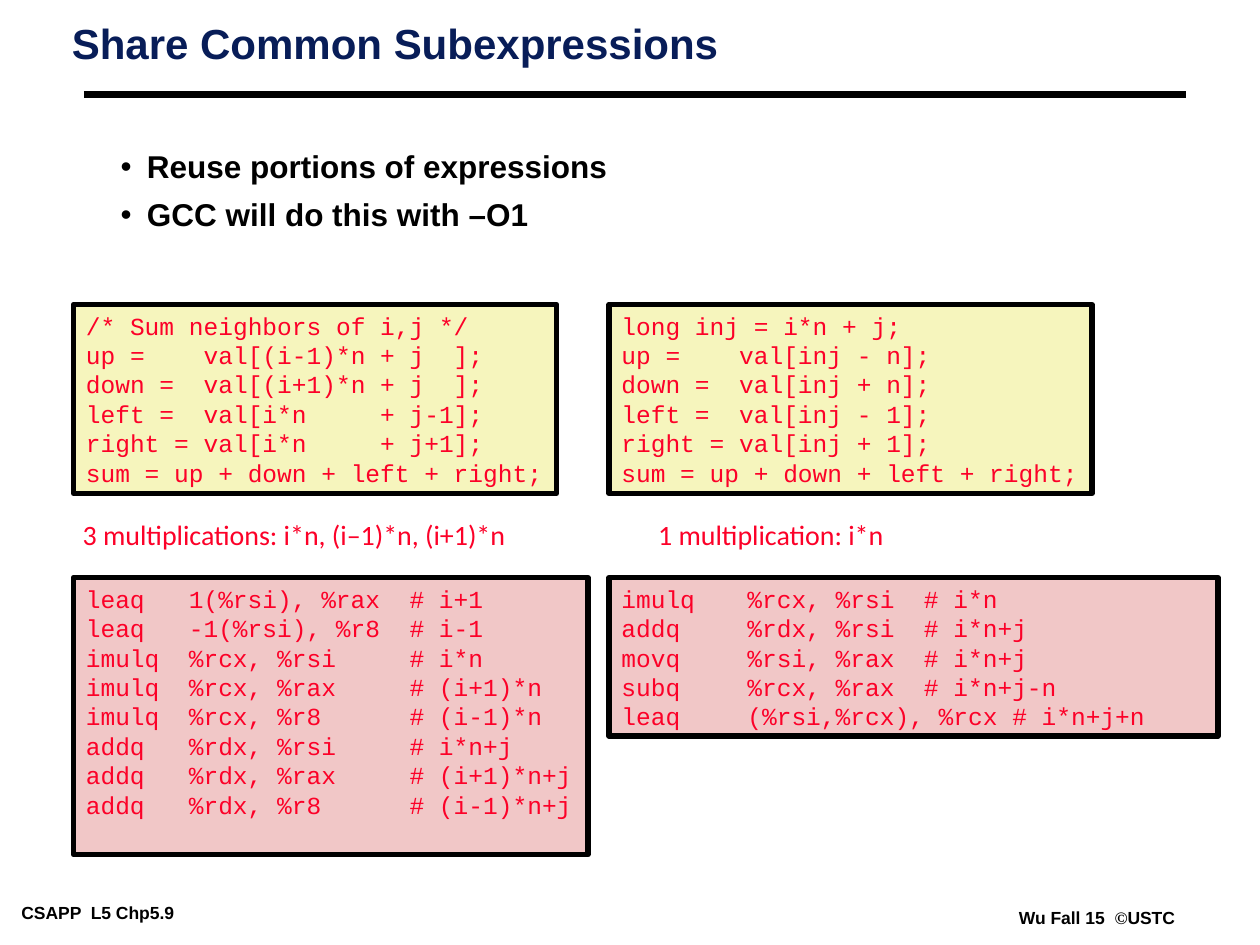
from lxml import etree
from pptx import Presentation
from pptx import util as u
from pptx.dml.color import RGBColor
from pptx.enum import shapes, text
from pptx.oxml.ns import qn

COLUMNS, ROWS = 120, 90
COLORS = {
    "ink": "000000",
    "title": "081D58",
    "code": "FC0128",
    "source": "F6F5BD",
    "assembly": "F1C7C7",
}
WIDE_INSETS = (0.1, 0.05)
NARROW_INSETS = (0.07, 0.03)

# Each version: source code, caption, assembly
BEFORE = (
    """/* Sum neighbors of i,j */
up =    val[(i-1)*n + j  ];
down =  val[(i+1)*n + j  ];
left =  val[i*n     + j-1];
right = val[i*n     + j+1];
sum = up + down + left + right;""",
    "3 multiplications: i*n, (i–1)*n, (i+1)*n",
    """leaq   1(%rsi), %rax  # i+1
leaq   -1(%rsi), %r8  # i-1
imulq  %rcx, %rsi     # i*n
imulq  %rcx, %rax     # (i+1)*n
imulq  %rcx, %r8      # (i-1)*n
addq   %rdx, %rsi     # i*n+j
addq   %rdx, %rax     # (i+1)*n+j
addq   %rdx, %r8      # (i-1)*n+j""",
)
AFTER = (
    """long inj = i*n + j;
up =    val[inj - n];
down =  val[inj + n];
left =  val[inj - 1];
right = val[inj + 1];
sum = up + down + left + right;""",
    "1 multiplication: i*n",
    """imulq\t%rcx, %rsi  # i*n
addq\t%rdx, %rsi  # i*n+j
movq\t%rsi, %rax  # i*n+j
subq\t%rcx, %rax  # i*n+j-n
leaq\t(%rsi,%rcx), %rcx # i*n+j+n""",
)

presentation = Presentation()
presentation.slide_width, presentation.slide_height = u.Inches(10), u.Inches(7.5)


def grid(column, row, columns=0, rows=0):
    """Turn grid units into left, top, width and height."""
    width, height = presentation.slide_width, presentation.slide_height
    return (int(width * column / COLUMNS), int(height * row / ROWS),
            int(width * columns / COLUMNS), int(height * rows / ROWS))


def place(shape, box):
    shape.left, shape.top, shape.width, shape.height = grid(*box)


def write(shape, lines, size, font="Arial", color="ink", bold=False,
          insets=WIDE_INSETS, wrap=True, line_spacing=None, space_before=0,
          bullet=None, tab=None):
    """Fill a shape; a line is a string or a list of (text, font) runs."""
    frame = shape.text_frame
    frame.word_wrap = wrap
    frame.auto_size = text.MSO_AUTO_SIZE.NONE
    frame.vertical_anchor = text.MSO_ANCHOR.TOP
    frame.margin_left = frame.margin_right = u.Inches(insets[0])
    frame.margin_top = frame.margin_bottom = u.Inches(insets[1])
    for index, line in enumerate(lines):
        paragraph = frame.add_paragraph() if index else frame.paragraphs[0]
        paragraph.alignment = text.PP_ALIGN.LEFT
        paragraph.space_before = u.Pt(space_before if index else 0)
        if line_spacing:
            paragraph.line_spacing = line_spacing
        if bullet:
            add_bullet(paragraph, bullet)
        if tab:
            add_tab(paragraph, tab)
        for content, family in [(line, font)] if isinstance(line, str) else line:
            run = paragraph.add_run()
            run.text = content
            run.font.name, run.font.size, run.font.bold = family, u.Pt(size), bold
            run.font.color.rgb = RGBColor.from_string(COLORS[color])


def add_bullet(paragraph, character):
    paragraph.level = 1
    properties = paragraph._p.get_or_add_pPr()
    properties.set("marL", str(u.Inches(0.75)))
    properties.set("indent", str(u.Inches(-0.21)))
    etree.SubElement(properties, qn("a:buFont"), typeface="Arial")
    etree.SubElement(properties, qn("a:buChar"), char=character)


def add_tab(paragraph, inches):
    stops = etree.SubElement(paragraph._p.get_or_add_pPr(), qn("a:tabLst"))
    etree.SubElement(stops, qn("a:tab"), pos=str(u.Inches(inches)), algn="l")


def add_label(slide, box, line, **style):
    write(slide.shapes.add_textbox(*grid(*box)), [line], **style)


def add_code(slide, box, code, fill, **style):
    shape = slide.shapes.add_shape(shapes.MSO_SHAPE.RECTANGLE, *grid(*box))
    shape.shadow.inherit = False
    shape.fill.solid()
    shape.fill.fore_color.rgb = RGBColor.from_string(COLORS[fill])
    shape.line.color.rgb = RGBColor.from_string(COLORS["ink"])
    shape.line.width = u.Pt(3)
    write(shape, code.split("\n"), 14, "Courier New", "code", **style)


def add_heading(slide, box):
    column, row, columns, _ = box
    title = slide.shapes.title
    place(title, box)
    write(title, ["Share Common Subexpressions"], 24, color="title", bold=True,
          insets=NARROW_INSETS, line_spacing=0.87)
    start, end = grid(column + 2, row + 7), grid(column + columns - 3, row + 7)
    rule = slide.shapes.add_connector(
        shapes.MSO_CONNECTOR.STRAIGHT, *start[:2], *end[:2])
    rule.line.color.rgb = RGBColor.from_string(COLORS["ink"])
    rule.line.width = u.Pt(4.5)
    etree.SubElement(rule._element.spPr, qn("a:effectLst"))


def add_points(slide, box):
    body = slide.placeholders[1]
    place(body, box)
    write(body, ["Reuse portions of expressions", "GCC will do this with –O1"],
          18, bold=True, line_spacing=0.85, space_before=9, bullet="•")


def add_version(slide, box, version, caption_shift, assembly_rows):
    """Stack source code, its multiplication count and its assembly."""
    column, row, columns, _ = box
    source, caption, assembly = version
    add_code(slide, (column, row, 46, 18), source, "source", wrap=False)
    add_label(slide, (column + caption_shift, row + 19.7, columns, 4.3), caption,
              size=16, font="Calibri", color="code")
    add_code(slide, (column, row + 26, columns, assembly_rows), assembly,
             "assembly", tab=1)


def add_footer(slide, box):
    column, row, columns, rows = box
    style = dict(size=10, bold=True, insets=NARROW_INSETS)
    add_label(slide, (column, row, 24, rows), "CSAPP  L5 Chp5.9", **style)
    credit = [("Wu Fall 15  ", "Arial"), ("©", "Times New Roman"), ("USTC", "Arial")]
    add_label(slide, (column + 95, row + 0.5, columns - 95, rows), credit, **style)


def main():
    slide = presentation.slides.add_slide(presentation.slide_layouts[1])
    add_footer(slide, (1.2, 85.5, 115, 2.6))
    add_heading(slide, (6, 2, 110, 14))
    add_points(slide, (3.8, 14, 109, 70.5))
    add_version(slide, (7, 29, 49, 53), BEFORE, -0.3, 26.4)
    add_version(slide, (58, 29, 58, 42), AFTER, 3.5, 15.1)
    presentation.save("out.pptx")


if __name__ == "__main__":
    main()
